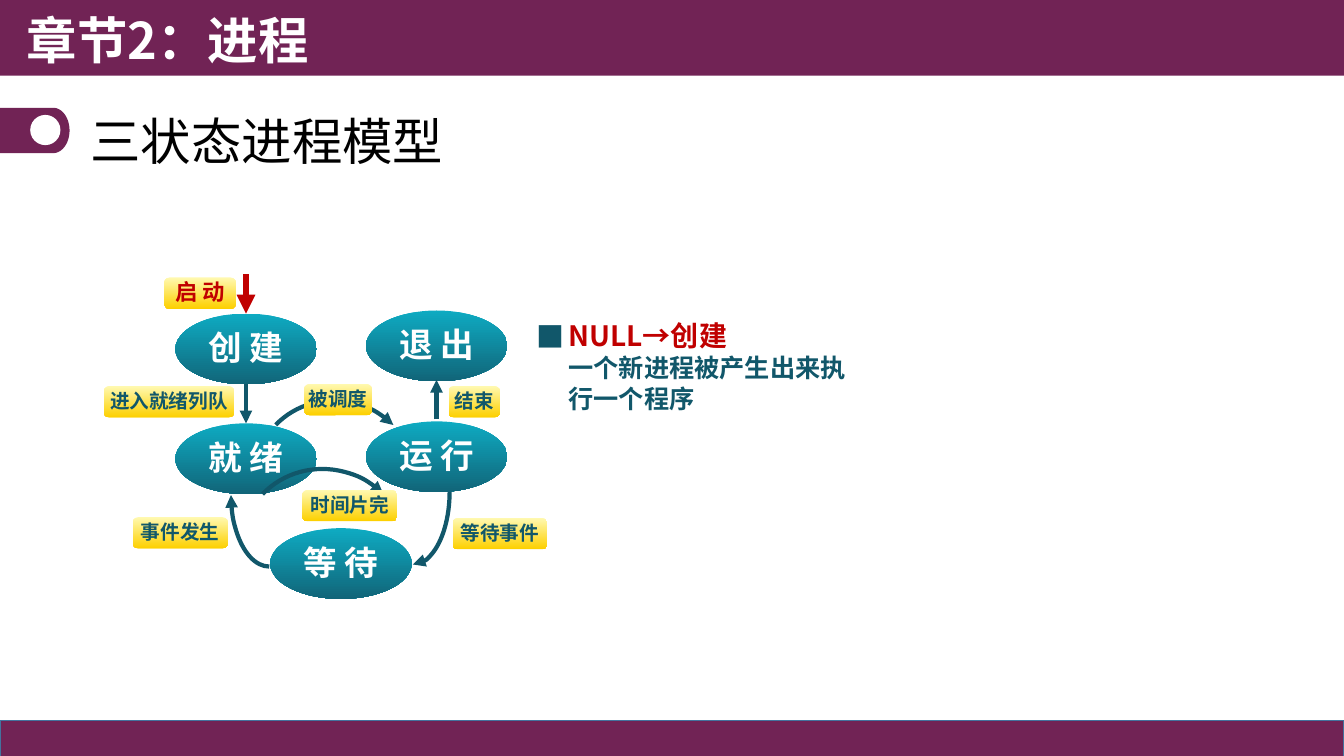
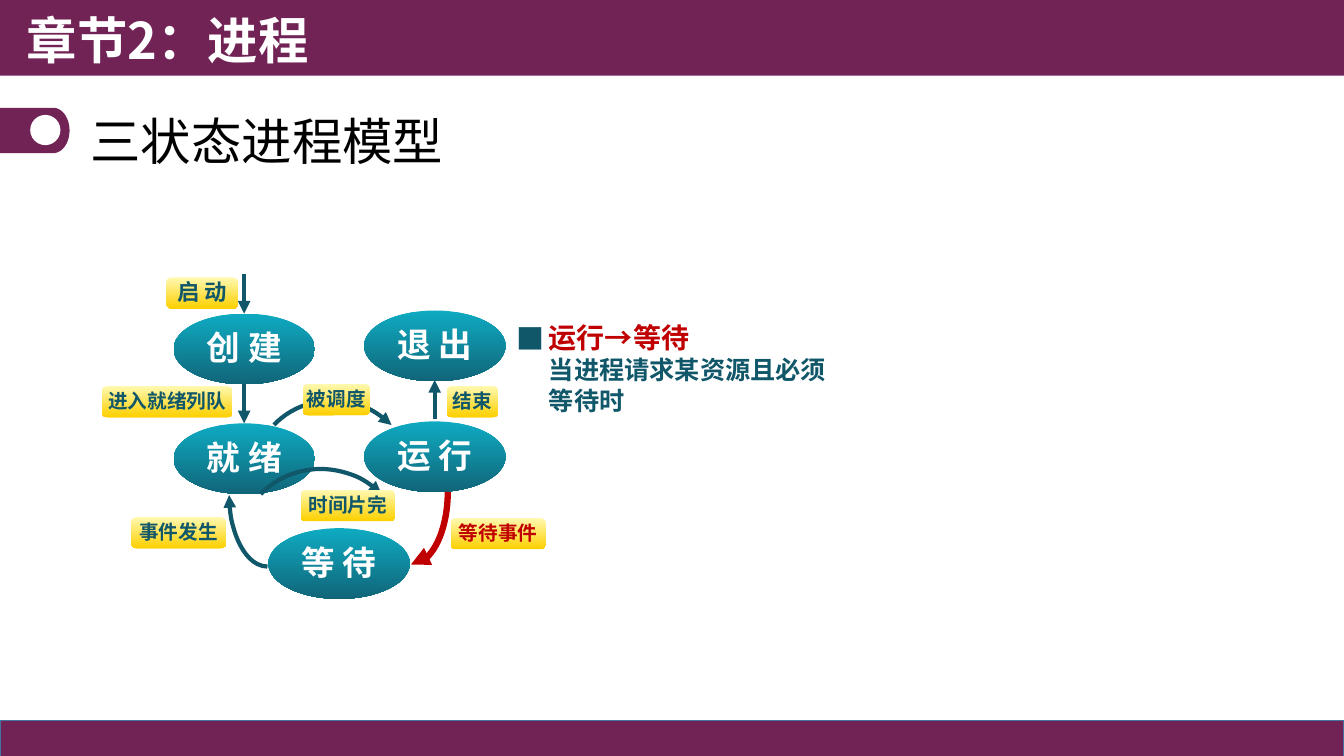
import math

import lxml.etree
import pptx
import pptx.dml.color
import pptx.enum.shapes
import pptx.enum.text
import pptx.oxml.ns
import pptx.util

Pt = pptx.util.Pt
RGBColor = pptx.dml.color.RGBColor
SHAPE = pptx.enum.shapes.MSO_SHAPE
ANCHOR = pptx.enum.text.MSO_ANCHOR
ALIGN = pptx.enum.text.PP_ALIGN
qn = pptx.oxml.ns.qn

PLUM = RGBColor(0x71, 0x23, 0x55)
FOOTER_EDGE = RGBColor(0x43, 0x73, 0x9E)
TEAL = RGBColor(0x11, 0x57, 0x6A)
RED = RGBColor(0xC0, 0x00, 0x00)
WHITE = RGBColor(0xFF, 0xFF, 0xFF)
BLACK = RGBColor(0x00, 0x00, 0x00)
OVAL_SHADES = (RGBColor(0x0E, 0xAB, 0xC2), RGBColor(0x11, 0x65, 0x79))
LABEL_SHADES = (RGBColor(0xFF, 0xF9, 0xB1), RGBColor(0xFD, 0xD0, 0x00))

FONT = "Noto Sans CJK SC"
BULLET_FONT = "Noto Sans CJK JP"
PAGE_WIDTH, PAGE_HEIGHT = 960, 540
BULLET_INDENT = 23
DIAGRAM_TOP = 194
OVAL_SIZE = (101, 50.5)
LABEL_HEIGHT = 22.3

STATES = [
    ("创 建", 53.3, 30),
    ("就 绪", 53.3, 108.4),
    ("运 行", 189.4, 107),
    ("退 出", 189.4, 27.8),
    ("等 待", 121, 183.3),
]
LABELS = [
    ("进入就绪列队", 2.2, 81.8, 93),
    ("被调度", 145.4, 80.3, 48.2),
    ("时间片完", 144, 156, 67.7),
    ("事件发生", 23, 175.4, 67.7),
    ("结束", 248.4, 81.8, 36.7),
    ("等待事件", 251.3, 176, 67.7),
]
STRAIGHT_ARROWS = [
    ("启 动", 103.7, 1.8, 30),
    ("进入就绪列队", 103.7, 80.3, 108.4),
    ("结束", 239.8, 105.5, 77.4),
]
TILTED = {"rotation": 314}
CURVED_ARROWS = [
    ("时间片完", (100, 140, 120.2, 123.8), TILTED),
    ("被调度", (110.2, 91, 116.6, 121), TILTED),
    ("等待事件", (196.6, 104.8, 52.6, 104.4), {}),
    ("事件发生", (93, 107.7, 54.7, 103), {"mirrored": True}),
]
SLIDES = [
    {
        "active": "启 动", "diagram_left": 72, "start_left": 45.4,
        "note": (376, 224), "heading": "NULL→创建",
        "detail": "一个新进程被产生出来执行一个程序",
    },
    {
        "active": "等待事件", "diagram_left": 70.7, "start_left": 48.2,
        "note": (362, 225.5), "heading": "运行→等待",
        "detail": "当进程请求某资源且必须等待时",
    },
]


def apply(target, values):
    """Set every attribute in a dict of format values."""
    for name, value in values.items():
        setattr(target, name, value)


def add_shape(page, kind, box, fill=None):
    """Add a plain preset shape without line or shadow."""
    shape = page.shapes.add_shape(kind, *map(Pt, box))
    shape.shadow.inherit = False
    shape.line.fill.background()
    if fill is None:
        shape.fill.background()
    else:
        shape.fill.solid()
        shape.fill.fore_color.rgb = fill
    return shape


def write(para, text, size, color, bold=True):
    """Add a run with its Latin and East Asian fonts."""
    span = para.add_run()
    span.text = text
    apply(span.font, {"name": FONT, "size": Pt(size), "bold": bold})
    span.font.color.rgb = color
    latin = span.font._element.find(qn("a:latin"))
    east_asian = lxml.etree.Element(qn("a:ea"), typeface=FONT)
    latin.addnext(east_asian)


def add_text_box(page, box, anchor=ANCHOR.TOP):
    """Add a wrapping text box and return its text frame."""
    frame = page.shapes.add_textbox(*map(Pt, box)).text_frame
    apply(frame, {"word_wrap": True, "vertical_anchor": anchor})
    return frame


def draw_frame(page):
    """Draw the bands, chapter title, marker and page title."""
    footer = add_shape(page, SHAPE.RECTANGLE, (0, 514.6, PAGE_WIDTH, 25.6), PLUM)
    footer.line.color.rgb = FOOTER_EDGE
    footer.line.width = Pt(1)
    add_shape(page, SHAPE.RECTANGLE, (0, 0, PAGE_WIDTH, 54), PLUM)

    chapter = add_text_box(page, (12.2, 0, 480, 55.4)).paragraphs[0]
    chapter.line_spacing = Pt(46)
    write(chapter, "章节2：进程", 36, WHITE)

    title = add_text_box(page, (57.6, 64.6, 720, 61.2), ANCHOR.BOTTOM).paragraphs[0]
    title.line_spacing = 0.9
    write(title, "三状态进程模型", 36, BLACK, bold=False)
    draw_marker(page, 0, 77)


def draw_marker(page, left, top):
    """Draw the rounded tab with its white dot."""
    half_height, straight, bulge = 16.2, 38, 11.7
    middle = top + half_height
    curve = [
        (left + straight + bulge * math.cos(math.radians(angle)),
         middle + half_height * math.sin(math.radians(angle)))
        for angle in range(-90, 91, 6)
    ]
    builder = page.shapes.build_freeform(Pt(left), Pt(top))
    corner = (left, middle + half_height)
    builder.add_line_segments([(Pt(x), Pt(y)) for x, y in curve + [corner]], close=True)
    tab = builder.convert_to_shape()
    tab.shadow.inherit = False
    tab.fill.solid()
    tab.fill.fore_color.rgb = PLUM
    tab.line.fill.background()
    add_shape(page, SHAPE.OVAL, (left + 21.6, top + 5.1, 21.6, 21.6), WHITE)


def add_node(page, kind, box, shades, text, size, color):
    """Add a shape shaded from top to bottom with centred text."""
    node = add_shape(page, kind, box)
    node.fill.gradient()
    node.fill.gradient_angle = 270
    for position, (stop, shade) in enumerate(zip(node.fill.gradient_stops, shades)):
        stop.color.rgb = shade
        stop.position = position
    apply(node.text_frame, {
        "word_wrap": False, "vertical_anchor": ANCHOR.MIDDLE,
        "margin_left": 0, "margin_right": 0, "margin_top": 0, "margin_bottom": Pt(2),
    })
    para = node.text_frame.paragraphs[0]
    para.alignment = ALIGN.CENTER
    write(para, text, size, color)


def style_arrow(arrow, active, end="tailEnd"):
    """Colour an arrow and put a triangle at one end."""
    arrow.line.color.rgb = RED if active else TEAL
    arrow.line.width = Pt(4.5 if active else 3)
    line = arrow.line._get_or_add_ln()
    lxml.etree.SubElement(line, qn("a:" + end), type="triangle")


def add_straight_arrow(page, x, start, finish, active):
    """Add a vertical arrow."""
    arrow = page.shapes.add_connector(
        pptx.enum.shapes.MSO_CONNECTOR.STRAIGHT, *map(Pt, (x, start, x, finish)))
    style_arrow(arrow, active)
    lxml.etree.SubElement(arrow._element.spPr, qn("a:effectLst"))


def add_curved_arrow(page, box, active, rotation=0, mirrored=False):
    """Add an arc with an arrowhead, tilted or as a lower quarter."""
    arc = add_shape(page, SHAPE.ARC, box)
    arc.rotation = rotation
    if not rotation:
        arc.adjustments[0] = 0.54
        arc.adjustments[1] = 54
    if mirrored:
        arc._element.spPr.find(qn("a:xfrm")).set("flipH", "1")
    style_arrow(arc, active, "headEnd" if mirrored else "tailEnd")


def draw_diagram(page, left, top, active, start_left):
    """Draw the process states with the active transition in red."""
    for name, x, y in STATES:
        add_node(page, SHAPE.OVAL, (left + x, top + y, *OVAL_SIZE),
                 OVAL_SHADES, name, 24, WHITE)
    for name, (x, y, width, height), options in CURVED_ARROWS:
        add_curved_arrow(page, (left + x, top + y, width, height),
                         name == active, **options)
    for name, x, start, finish in STRAIGHT_ARROWS:
        add_straight_arrow(page, left + x, top + start, top + finish, name == active)
    for name, x, y, width in LABELS + [("启 动", start_left, 4.2, 51)]:
        add_node(page, SHAPE.ROUNDED_RECTANGLE, (left + x, top + y, width, LABEL_HEIGHT),
                 LABEL_SHADES, name, 16 if name == "启 动" else 14,
                 RED if name == active else TEAL)


def draw_note(page, left, top, heading, detail):
    """Write the bulleted transition and its explanation."""
    frame = add_text_box(page, (left, top, 250, 75))
    rows = [(heading, 20, RED, 24), (detail, 18, TEAL, 22)]
    for index, (text, size, color, spacing) in enumerate(rows):
        para = frame.add_paragraph() if index else frame.paragraphs[0]
        para.line_spacing = Pt(spacing)
        properties = para._p.get_or_add_pPr()
        properties.set("marL", str(Pt(BULLET_INDENT)))
        properties.set("indent", str(0 if index else -Pt(BULLET_INDENT)))
        if not index:
            bullet_color = lxml.etree.SubElement(properties, qn("a:buClr"))
            lxml.etree.SubElement(bullet_color, qn("a:srgbClr"), val=str(TEAL))
            lxml.etree.SubElement(properties, qn("a:buFont"), typeface=BULLET_FONT)
            lxml.etree.SubElement(properties, qn("a:buChar"), char="■")
        write(para, text, size, color)


def main():
    """Build and save the deck."""
    deck = pptx.Presentation()
    apply(deck, {"slide_width": Pt(PAGE_WIDTH), "slide_height": Pt(PAGE_HEIGHT)})
    for content in SLIDES:
        page = deck.slides.add_slide(deck.slide_layouts[6])
        draw_frame(page)
        draw_note(page, *content["note"], content["heading"], content["detail"])
        draw_diagram(page, content["diagram_left"], DIAGRAM_TOP,
                     content["active"], content["start_left"])
    deck.save("out.pptx")


if __name__ == "__main__":
    main()
